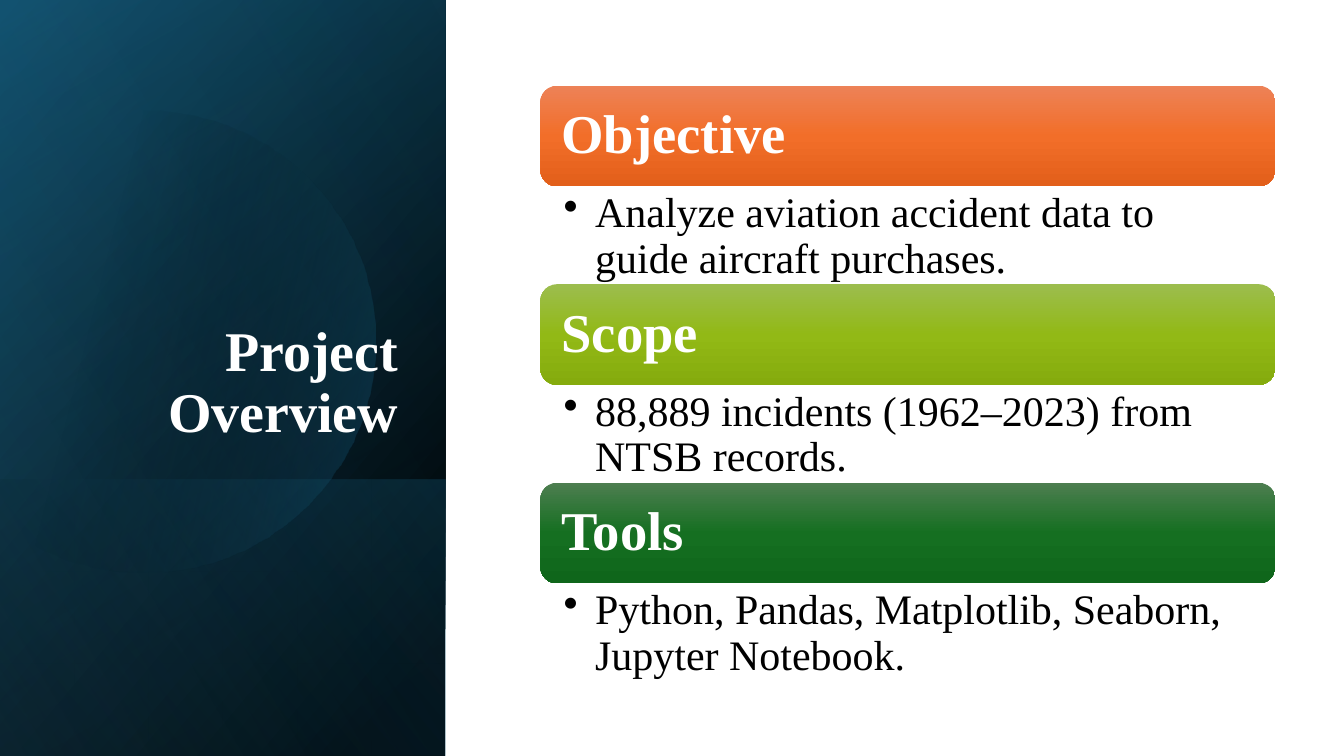
import math
from lxml import etree
from pptx import Presentation
from pptx import util as u
from pptx.dml import color
from pptx.enum import shapes, text
from pptx.oxml import ns

FONT = "Times New Roman"
colour = color.RGBColor.from_string


def paint(shape, angle, stops):
    """Fill with a clockwise linear gradient of (position %, hex, opacity %) stops."""
    shape.shadow.inherit = False
    shape.line.fill.background()
    shape.fill.gradient()
    shape.fill.gradient_angle = 360 - angle
    stop_list = shape._element.spPr.find(".//" + ns.qn("a:gsLst"))
    for old_stop in list(stop_list):
        stop_list.remove(old_stop)
    for position, shade, opacity in stops:
        stop = etree.SubElement(stop_list, ns.qn("a:gs"), pos=str(position * 1000))
        tint = etree.SubElement(stop, ns.qn("a:srgbClr"), val=str(colour(shade)))
        if opacity < 100:
            etree.SubElement(tint, ns.qn("a:alpha"), val=str(opacity * 1000))


def write(box, words, size, shade, bold, align, anchor, insets):
    frame = box.text_frame
    frame.word_wrap = True
    frame.auto_size = text.MSO_AUTO_SIZE.NONE
    frame.vertical_anchor = anchor
    frame.margin_left, frame.margin_top, frame.margin_right, frame.margin_bottom = map(u.Pt, insets)
    para = frame.paragraphs[0]
    para.alignment = align
    para.line_spacing = 0.9
    span = para.add_run()
    span.text = words
    span.font.name = FONT
    span.font.size = u.Pt(size)
    span.font.bold = bold
    span.font.color.rgb = colour(shade)
    return para


deck = Presentation()
deck.slide_width, deck.slide_height = u.Pt(960), u.Pt(540)
page = deck.slides.add_slide(deck.slide_layouts[5])

# Left panel: layered gradients, each a mirrored rectangle on its side
PANEL_WIDTH = 318.2
LAYERS = [  # height on the slide, gradient angle, stops
    (540, 50, [(8, "000000", 100), (100, "104862", 100)]),
    (540, 30, [(0, "000000", 0), (99, "156082", 46)]),
    (197.3, 130, [(2, "156082", 29), (100, "000000", 30)]),
    (540, 120, [(0, "000000", 0), (99, "46B1E1", 11)]),
]
for number, (height, angle, stops) in enumerate(LAYERS):
    if number == 3:
        # Disc cut off by the left edge of the slide, below the last layer
        centre_x, centre_y, radius = 103, 244, 165
        reach = math.acos(-centre_x / radius)
        turns = [reach * (step / 60 - 1) for step in range(121)]
        rim = [(centre_x + radius * math.cos(turn), centre_y + radius * math.sin(turn))
               for turn in turns]
        builder = page.shapes.build_freeform(*rim[0], scale=u.Pt(1))
        builder.add_line_segments(rim[1:], close=True)
        paint(builder.convert_to_shape(), 14, [(29, "000000", 0), (100, "156082", 43)])
    layer = page.shapes.add_shape(
        shapes.MSO_SHAPE.RECTANGLE,
        u.Pt((PANEL_WIDTH - height) / 2), u.Pt(540 - (height + PANEL_WIDTH) / 2),
        u.Pt(height), u.Pt(PANEL_WIDTH))
    layer.rotation = 90
    layer._element.spPr.xfrm.set("flipH", "1")
    paint(layer, angle, stops)

title = page.shapes.title
title.left, title.top, title.width, title.height = map(u.Pt, (46, 132.5, 245.5, 188.6))
write(title, "Project Overview", 40, "FFFFFF", True, text.PP_ALIGN.RIGHT,
      text.MSO_ANCHOR.BOTTOM, (7.2, 3.6, 7.2, 3.6))
page.shapes._spTree.append(title._element)  # bring in front of the panel

# Right side: banner and bullet for each section
SECTIONS = [
    ("Objective", "Analyze aviation accident data to guide aircraft purchases.",
     ("ED8257", "F26E29", "E25F1A")),
    ("Scope", "88,889 incidents (1962–2023) from NTSB records.",
     ("9CBD4E", "92B916", "85AB0D")),
    ("Tools", "Python, Pandas, Matplotlib, Seaborn, Jupyter Notebook.",
     ("4D7E50", "156F21", "0F661B")),
]
LEFT, TOP, WIDTH, BANNER, DETAIL = 386, 61.2, 525, 72, 69.8
for row, (heading, detail, shades) in enumerate(SECTIONS):
    top = TOP + row * (BANNER + DETAIL)
    banner = page.shapes.add_shape(shapes.MSO_SHAPE.ROUNDED_RECTANGLE,
                                   u.Pt(LEFT), u.Pt(top), u.Pt(WIDTH), u.Pt(BANNER))
    paint(banner, 90, [(50 * i, shade, 100) for i, shade in enumerate(shades)])
    write(banner, heading, 39, "FFFFFF", True, text.PP_ALIGN.LEFT,
          text.MSO_ANCHOR.MIDDLE, (11.6, 11.6, 11.6, 11.6))

    box = page.shapes.add_textbox(u.Pt(LEFT), u.Pt(top + BANNER), u.Pt(WIDTH), u.Pt(DETAIL))
    para = write(box, detail, 30, "000000", False, text.PP_ALIGN.LEFT,
                 text.MSO_ANCHOR.TOP, (16.6, 3.6, 21.6, 3.6))
    layout = para._p.get_or_add_pPr()
    layout.set("marL", str(u.Pt(22.5)))
    layout.set("indent", str(-u.Pt(22.5)))
    etree.SubElement(layout, ns.qn("a:buChar"), char="•")

deck.save("out.pptx")
